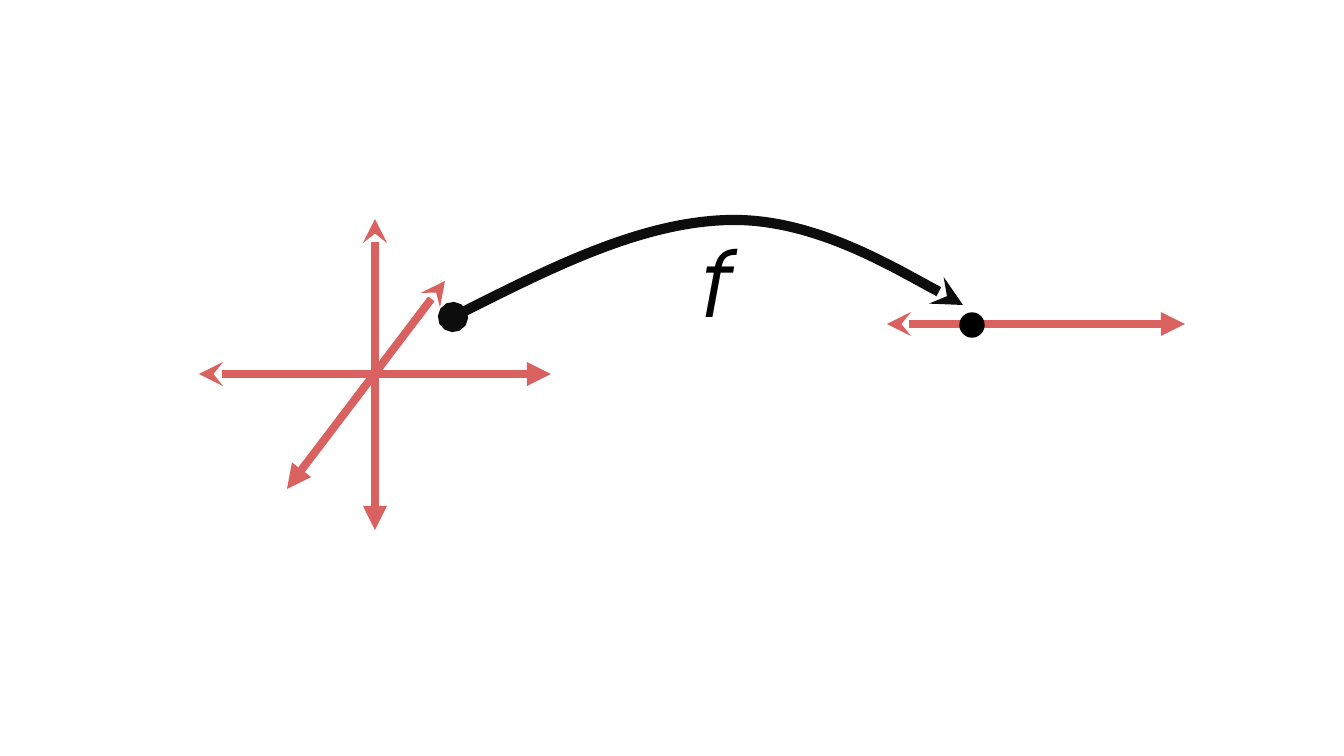
import pptx
import pptx.dml.color
import pptx.enum.shapes
import pptx.enum.text
import pptx.oxml
import pptx.oxml.ns
import pptx.util

PX = 914400 / 100.8
BLACK = pptx.dml.color.RGBColor(0x00, 0x00, 0x00)
INK = pptx.dml.color.RGBColor(0x0D, 0x0D, 0x0D)
RED = pptx.dml.color.RGBColor(0xD9, 0x61, 0x5F)

# Axes as x1, y1, x2, y2
AXES = [(199, 374, 551, 374), (445, 281, 287, 489), (375, 219, 375, 530)]
NUMBER_LINE = (887, 324, 1185, 324)
# Start point, then three points for each Bezier piece
MAP_CURVE = [(453, 317), (548, 269), (643, 222), (729, 220),
             (814, 218), (963, 305), (963, 305)]


def emu(*lengths):
    return [pptx.util.Emu(round(n * PX)) for n in lengths]


def style_line(sp, color, width, head, tail):
    sp.line.color.rgb = color
    sp.line.width = pptx.util.Pt(width)
    ln = sp.line._get_or_add_ln()
    for tag, kind in (("a:headEnd", head), ("a:tailEnd", tail)):
        end = pptx.oxml.ns.qn(tag)
        ln.append(ln.makeelement(end, {"type": kind}))


def add_axis(s, ends):
    sp = s.shapes.add_connector(
        pptx.enum.shapes.MSO_CONNECTOR.STRAIGHT, *emu(*ends))
    style_line(sp, RED, 5.75, "stealth", "triangle")
    sp_pr = sp._element.spPr
    sp_pr.append(sp_pr.makeelement(pptx.oxml.ns.qn("a:effectLst"), {}))


def add_curve(s, points):
    """Draw an outline and turn each three of its segments into one Bezier."""
    builder = s.shapes.build_freeform(*points[0], scale=PX)
    builder.add_line_segments(points[1:], close=False)
    sp = builder.convert_to_shape()
    sp.shadow.inherit = False
    sp.fill.background()
    style_line(sp, INK, 7.25, "oval", "stealth")
    segments = list(sp._element.iter(pptx.oxml.ns.qn("a:lnTo")))
    outline = segments[0].getparent()
    for i in range(0, len(segments), 3):
        bezier = outline.makeelement(pptx.oxml.ns.qn("a:cubicBezTo"), {})
        outline.append(bezier)
        for segment in segments[i:i + 3]:
            bezier.append(segment[0])
            outline.remove(segment)


def add_label(s, text, box):
    tf = s.shapes.add_textbox(*emu(*box)).text_frame
    tf.word_wrap = False
    tf.auto_size = pptx.enum.text.MSO_AUTO_SIZE.SHAPE_TO_FIT_TEXT
    r = tf.paragraphs[0].add_run()
    r.text = text
    font = {"name": "TeX Gyre Adventor", "size": pptx.util.Pt(66), "italic": True}
    for key, value in font.items():
        setattr(r.font, key, value)
    r.font.color.rgb = BLACK


def add_dot(s, box):
    sp = s.shapes.add_shape(pptx.enum.shapes.MSO_SHAPE.OVAL, *emu(*box))
    sp.shadow.inherit = False
    sp.fill.solid()
    sp.fill.fore_color.rgb = BLACK
    sp.line.color.rgb = BLACK
    sp.line.width = pptx.util.Pt(1)


def main():
    prs = pptx.Presentation()
    prs.slide_width, prs.slide_height = emu(1344, 756)
    s = prs.slides.add_slide(prs.slide_layouts[6])
    add_curve(s, MAP_CURVE)
    add_label(s, "f", (690, 220, 49, 122))
    add_axis(s, NUMBER_LINE)
    add_dot(s, (960, 313, 24, 24))
    for ends in AXES:
        add_axis(s, ends)
    prs.save("out.pptx")


if __name__ == "__main__":
    main()
